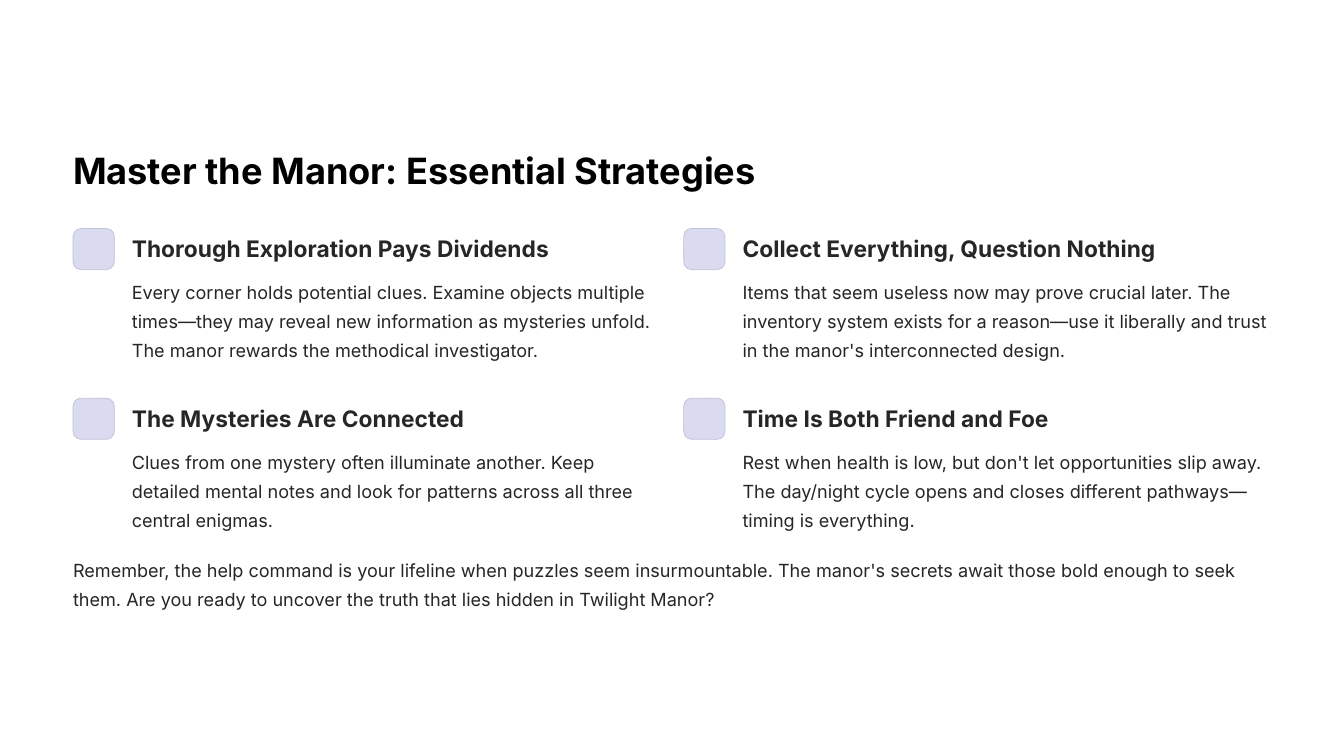
from dataclasses import dataclass

from pptx import Presentation
from pptx.dml.color import RGBColor
from pptx.enum.shapes import MSO_SHAPE
from pptx.enum.text import MSO_ANCHOR, MSO_AUTO_SIZE, PP_ALIGN
from pptx.shapes.autoshape import Shape
from pptx.slide import Slide
from pptx.util import Inches, Pt

BLACK = RGBColor(0x00, 0x00, 0x00)
INK = RGBColor(0x27, 0x25, 0x25)
LILAC = RGBColor(0xDA, 0xDB, 0xF1)
EDGE = RGBColor(0xC0, 0xC1, 0xD7)
FONT = "Inter"

# Grid, in inches
LEFT, TOP = 0.87, 2.72
COL, ROW = 7.27, 2.02
TILE, INDENT = 0.49, 0.7
WIDE = 16 - 2 * LEFT


@dataclass(frozen=True)
class Style:
    size: float
    lead: float
    color: RGBColor
    bold: bool
    wrap: bool


@dataclass(frozen=True)
class Tip:
    col: int
    row: int
    width: float
    head: str
    body: str


TITLE = Style(31, 39, BLACK, True, False)
HEAD = Style(19.5, 24, INK, True, False)
BODY = Style(15.5, 25, INK, False, True)

TIPS = [
    Tip(0, 0, 4.96, "Thorough Exploration Pays Dividends",
        "Every corner holds potential clues. Examine objects multiple "
        "times—they may reveal new information as mysteries unfold. "
        "The manor rewards the methodical investigator."),
    Tip(1, 0, 4.92, "Collect Everything, Question Nothing",
        "Items that seem useless now may prove crucial later. The "
        "inventory system exists for a reason—use it liberally and trust "
        "in the manor's interconnected design."),
    Tip(0, 1, 3.95, "The Mysteries Are Connected",
        "Clues from one mystery often illuminate another. Keep "
        "detailed mental notes and look for patterns across all three "
        "central enigmas."),
    Tip(1, 1, 3.64, "Time Is Both Friend and Foe",
        "Rest when health is low, but don't let opportunities slip away. "
        "The day/night cycle opens and closes different pathways—"
        "timing is everything."),
]
CLOSE = ("Remember, the help command is your lifeline when puzzles seem "
         "insurmountable. The manor's secrets await those bold enough to seek "
         "them. Are you ready to uncover the truth that lies hidden in "
         "Twilight Manor?")


def write(box: Shape, text: str, style: Style) -> None:
    frame = box.text_frame
    frame.margin_left = frame.margin_right = 0
    frame.margin_top = frame.margin_bottom = 0
    frame.auto_size = MSO_AUTO_SIZE.NONE
    frame.vertical_anchor = MSO_ANCHOR.TOP
    frame.word_wrap = style.wrap
    para = frame.paragraphs[0]
    para.alignment = PP_ALIGN.LEFT
    para.line_spacing = Pt(style.lead)
    run = para.add_run()
    run.text = text
    run.font.name = FONT
    run.font.size = Pt(style.size)
    run.font.bold = style.bold
    run.font.color.rgb = style.color


def label(slide: Slide, x: float, y: float, w: float, h: float,
          text: str, style: Style) -> None:
    box = slide.shapes.add_textbox(Inches(x), Inches(y), Inches(w), Inches(h))
    write(box, text, style)


def tile(slide: Slide, x: float, y: float) -> None:
    box = slide.shapes.add_shape(MSO_SHAPE.ROUNDED_RECTANGLE, Inches(x),
                                 Inches(y), Inches(TILE), Inches(TILE))
    box.adjustments[0] = 0.19
    box.shadow.inherit = False
    box.fill.solid()
    box.fill.fore_color.rgb = LILAC
    box.line.color.rgb = EDGE
    box.line.width = Pt(0.6)


def draw(slide: Slide, tip: Tip) -> None:
    x, y = LEFT + tip.col * COL, TOP + tip.row * ROW
    tile(slide, x, y)
    label(slide, x + INDENT, y + 0.07, tip.width, 0.34, tip.head, HEAD)
    label(slide, x + INDENT, y + 0.54, 6.29, 1.04, tip.body, BODY)


def main() -> None:
    deck = Presentation()
    deck.slide_width, deck.slide_height = Inches(16), Inches(9)
    slide = deck.slides.add_slide(deck.slide_layouts[5])

    # Title
    title = slide.shapes.title
    title.left, title.top = Inches(LEFT), Inches(1.74)
    title.width, title.height = Inches(8.2), Inches(0.54)
    write(title, "Master the Manor: Essential Strategies", TITLE)

    # Strategy grid
    for tip in TIPS:
        draw(slide, tip)

    # Closing line
    label(slide, LEFT, 6.57, WIDE, 0.69, CLOSE, BODY)
    deck.save("out.pptx")


if __name__ == "__main__":
    main()
